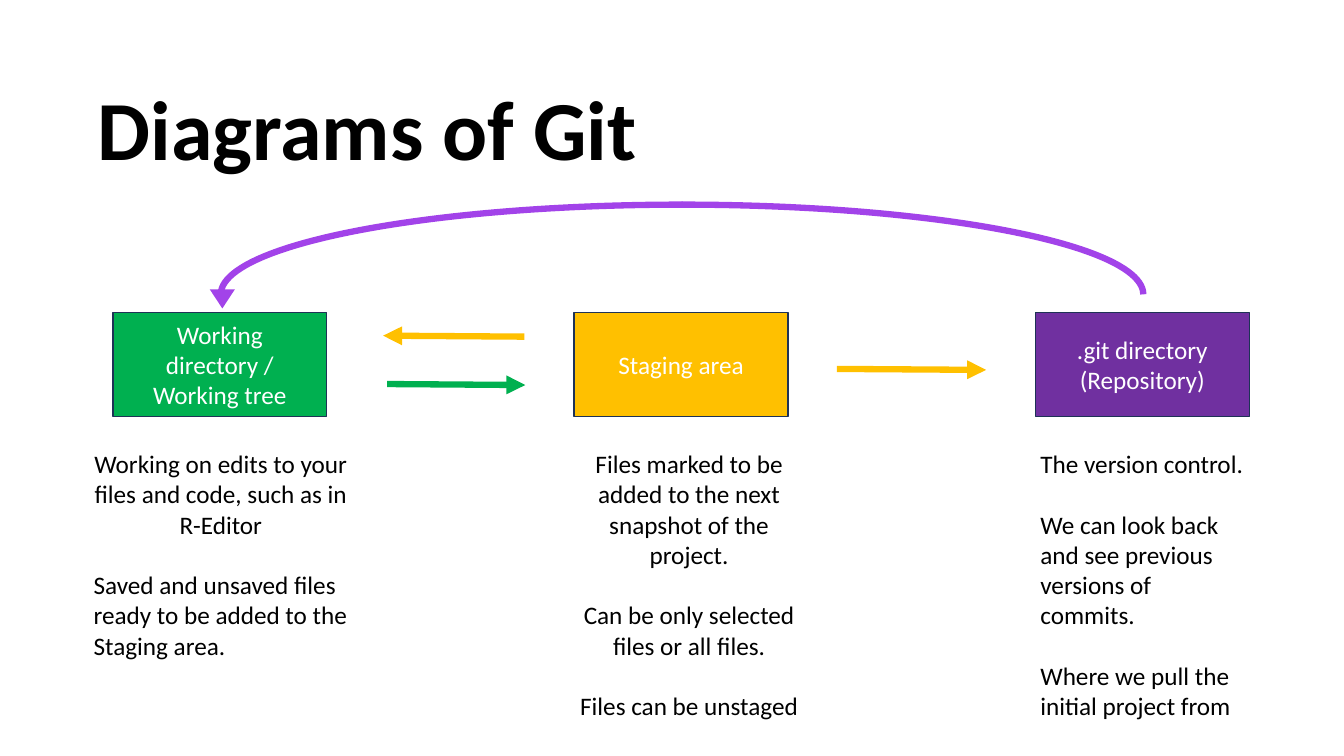
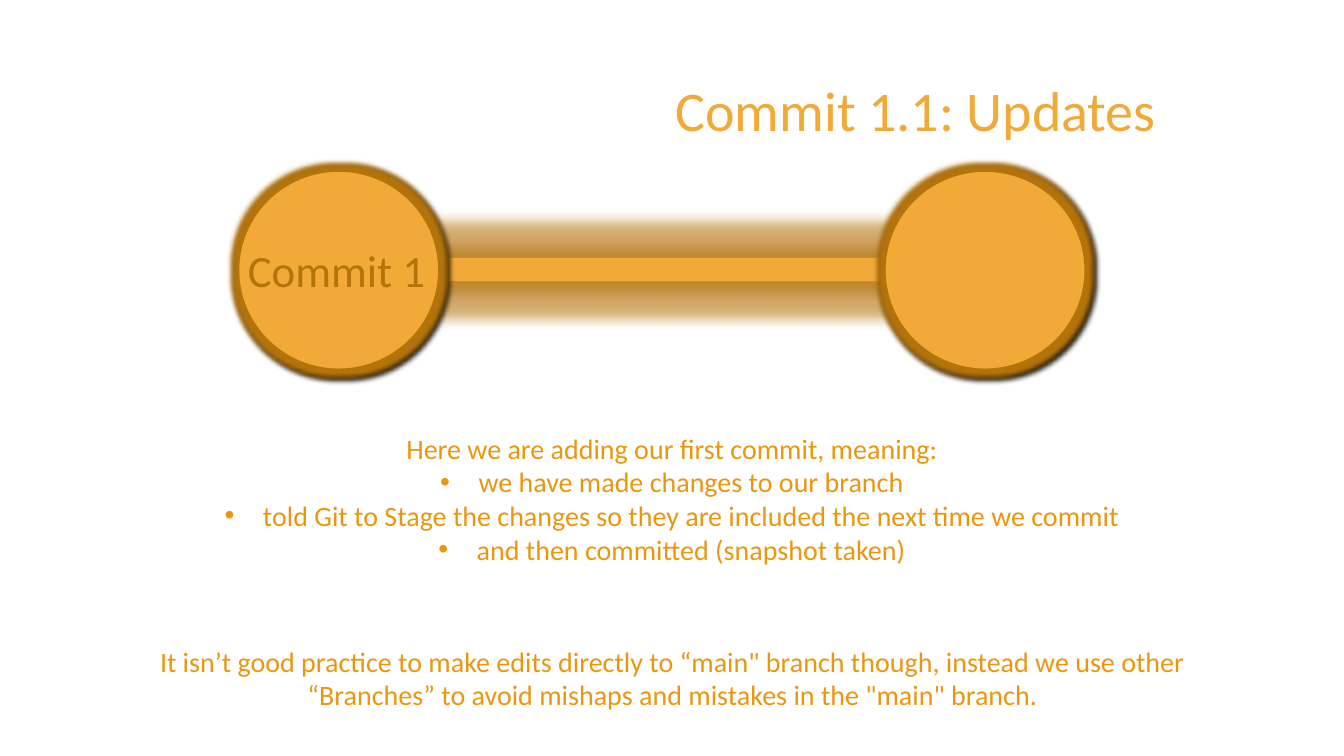
"""Build two slides that explain the areas of Git and a first commit."""
from pptx import Presentation
from pptx.dml.color import RGBColor
from pptx.enum.shapes import MSO_CONNECTOR, MSO_SHAPE
from pptx.enum.text import MSO_ANCHOR, PP_ALIGN
from pptx.oxml.ns import qn
from pptx.util import Inches, Pt
from lxml import etree

RECT, OVAL = MSO_SHAPE.RECTANGLE, MSO_SHAPE.OVAL
ARC, TRIANGLE = MSO_SHAPE.ARC, MSO_SHAPE.ISOSCELES_TRIANGLE
STRAIGHT = MSO_CONNECTOR.STRAIGHT
LEFT, CENTER = PP_ALIGN.LEFT, PP_ALIGN.CENTER
TOP, MIDDLE = MSO_ANCHOR.TOP, MSO_ANCHOR.MIDDLE

FONT = "Calibri"
BLACK, WHITE, NAVY = "000000", "FFFFFF", "1E3256"
GREEN, YELLOW, PURPLE, VIOLET = "00B050", "FFC000", "7030A0", "A243E9"
ORANGE, BROWN, AMBER = "F1AA37", "B4740C", "EA9710"
BLANK_LINE = 21.6


def rgb(color):
    return RGBColor.from_string(color)


def add_child(parent, tag, **attrs):
    child = etree.SubElement(parent, qn(tag))
    for key, value in attrs.items():
        child.set(key, str(value))
    return child


def write(tf, paras, size, color, align=LEFT, bold=False, gap=0):
    for i, item in enumerate(paras):
        text, al = item if isinstance(item, tuple) else (item, align)
        p = tf.paragraphs[0] if i == 0 else tf.add_paragraph()
        p.alignment = al
        if i and gap:
            p.space_before = Pt(gap)
        r = p.add_run()
        r.text = text
        r.font.name, r.font.size, r.font.bold = FONT, Pt(size), bold
        r.font.color.rgb = rgb(color)


def add_text(slide, box, paras, size, color, anchor=TOP, inset=None, **style):
    sp = slide.shapes.add_textbox(*map(Inches, box))
    tf = sp.text_frame
    tf.word_wrap, tf.vertical_anchor = True, anchor
    if inset is not None:
        tf.margin_left = tf.margin_right = Inches(inset)
        tf.margin_top = tf.margin_bottom = Inches(inset)
    write(tf, paras, size, color, **style)
    return tf


def add_bullets(paras):
    for p in paras:
        pPr = p._p.get_or_add_pPr()
        pPr.set("marL", str(Inches(0.38)))
        pPr.set("indent", str(-Inches(0.38)))
        add_child(pPr, "a:buFont", typeface="Arial")
        add_child(pPr, "a:buChar", char="•")


def add_shape(slide, kind, box, fill=None, line=None, width=1):
    sp = slide.shapes.add_shape(kind, *map(Inches, box))
    sp.shadow.inherit = False
    if fill:
        sp.fill.solid()
        sp.fill.fore_color.rgb = rgb(fill)
    else:
        sp.fill.background()
    if line:
        sp.line.color.rgb = rgb(line)
        sp.line.width = Pt(width)
    else:
        sp.line.fill.background()
    return sp


def add_arrow(slide, start, end, color):
    cx = slide.shapes.add_connector(STRAIGHT, *map(Inches, start + end))
    cx.line.color.rgb = rgb(color)
    cx.line.width = Pt(4.5)
    add_child(cx.line._get_or_add_ln(), "a:tailEnd", type="triangle")
    add_child(cx._element.spPr, "a:effectLst")


def add_glow(sp, radius, opacity=100, shadow=False):
    effects = sp._element.spPr.find(qn("a:effectLst"))
    glow = add_child(effects, "a:glow", rad=Pt(radius))
    clr = add_child(glow, "a:srgbClr", val=BROWN)
    add_child(clr, "a:alpha", val=opacity * 1000)
    if shadow:
        outer = add_child(effects, "a:outerShdw", dist=Pt(2.8), dir=45 * 60000)
        add_child(outer, "a:srgbClr", val=BLACK)


def add_area(slide, left, fill, paras):
    sp = add_shape(slide, RECT, (left, 3.1, 2.12, 1.03), fill, NAVY)
    sp.text_frame.word_wrap = True
    sp.text_frame.vertical_anchor = MIDDLE
    write(sp.text_frame, paras, 18, WHITE, align=CENTER)


def add_arc(slide, left, start, end):
    sp = add_shape(slide, ARC, (left, 2.03, 9.16, 1.78), None, VIOLET, 4.5)
    sp.adjustments[0], sp.adjustments[1] = start * 0.6, end * 0.6


def add_commit(slide, left):
    sp = add_shape(slide, OVAL, (left, 1.69, 2, 1.98), ORANGE, BROWN, 2)
    add_glow(sp, 8, shadow=True)


def build_diagram(slide):
    add_text(slide, (0.87, 0.53, 11.5, 1.45), ["Diagrams of Git"], 60, BLACK,
             anchor=MIDDLE, bold=True)
    areas = [
        (GREEN, ["Working directory /", "Working tree"]),
        (YELLOW, ["Staging area"]),
        (PURPLE, [".git directory (Repository)"]),
    ]
    for i, (fill, paras) in enumerate(areas):
        add_area(slide, 1.12 + i * 4.575, fill, paras)

    notes = [
        (0.83, 2.72, LEFT, [
            ("Working on edits to your files and code, such as in R-Editor", CENTER),
            "Saved and unsaved files ready to be added to the Staging area."]),
        (5.55, 2.57, CENTER, [
            "Files marked to be added to the next snapshot of the project.",
            "Can be only selected files or all files.",
            "Files can be unstaged"]),
        (10.22, 2.28, LEFT, [
            "The version control.",
            "We can look back and see previous versions of commits.",
            "Where we pull the initial project from"]),
    ]
    for left, width, align, paras in notes:
        add_text(slide, (left, 4.4, width, 2.83), paras, 18, BLACK,
                 align=align, gap=BLANK_LINE)

    add_arrow(slide, (8.3, 3.66), (9.78, 3.67), YELLOW)
    add_arrow(slide, (3.84, 3.81), (5.21, 3.82), GREEN)
    add_arrow(slide, (5.2, 3.34), (3.8, 3.33), YELLOW)
    add_arc(slide, 2.18, 270, 0)
    add_arc(slide, 2.19, 180, 270)
    head = add_shape(slide, TRIANGLE, (2.08, 2.87, 0.25, 0.19), VIOLET)
    head.rotation = 180


def build_commit(slide):
    bar = add_shape(slide, RECT, (4.39, 2.56, 4.38, 0.23), ORANGE)
    add_glow(bar, 18, opacity=60)
    for left in (2.36, 8.77):
        add_commit(slide, left)
    add_text(slide, (2.36, 2.36, 2.2, 0.64), ["Commit 1"], 32, BROWN)
    add_text(slide, (6.66, 0.71, 5.46, 0.64), ["Commit 1.1: Updates"], 40, ORANGE,
             inset=0.04)
    tf = add_text(slide, (0.55, 4.23, 12.23, 1.45), [
        "Here we are adding our first commit, meaning:",
        "we have made changes to our branch",
        "told Git to Stage the changes so they are included the next time we commit",
        "and then committed (snapshot taken)"], 20, AMBER, align=CENTER)
    add_bullets(tf.paragraphs[1:])
    add_text(slide, (1.42, 6.35, 10.5, 0.96), [
        "It isn’t good practice to make edits directly to “main\" branch though, "
        "instead we use other “Branches” to avoid mishaps and mistakes in the "
        "\"main\" branch."], 20, AMBER, inset=0.04, align=CENTER)


def main():
    prs = Presentation()
    prs.slide_width, prs.slide_height = Inches(13.33), Inches(7.5)
    for build in (build_diagram, build_commit):
        build(prs.slides.add_slide(prs.slide_layouts[6]))
    prs.save("out.pptx")


if __name__ == "__main__":
    main()
